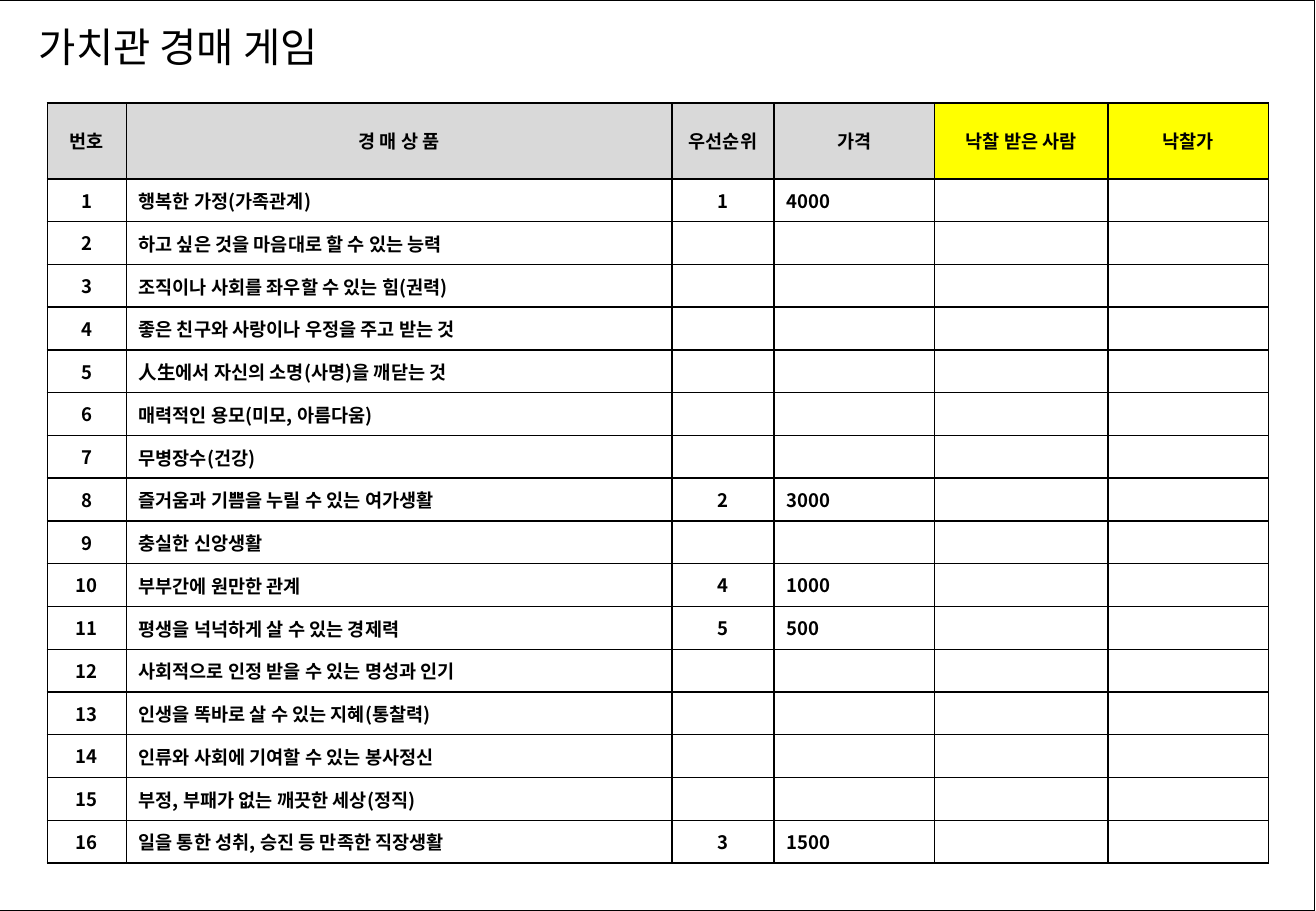
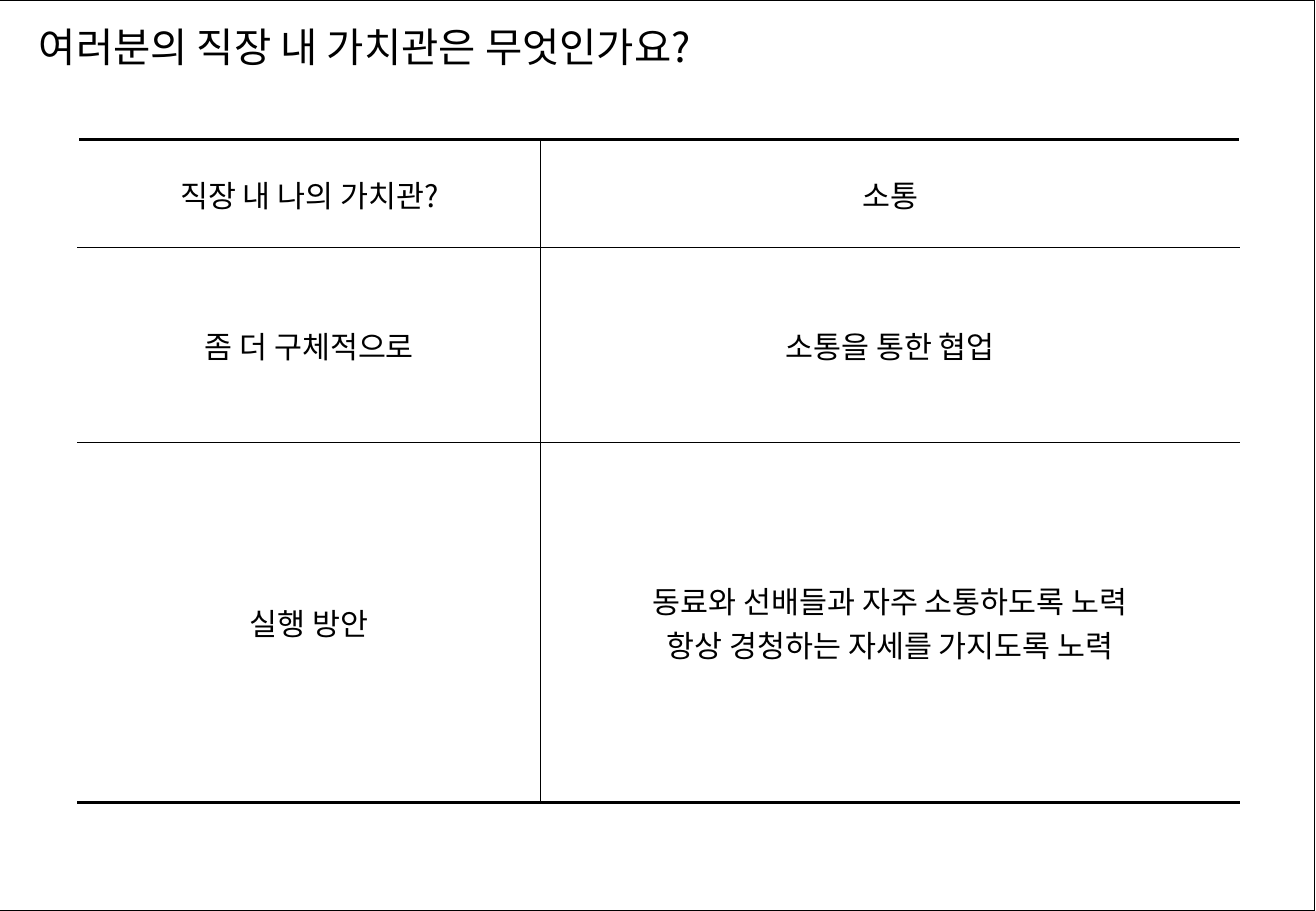
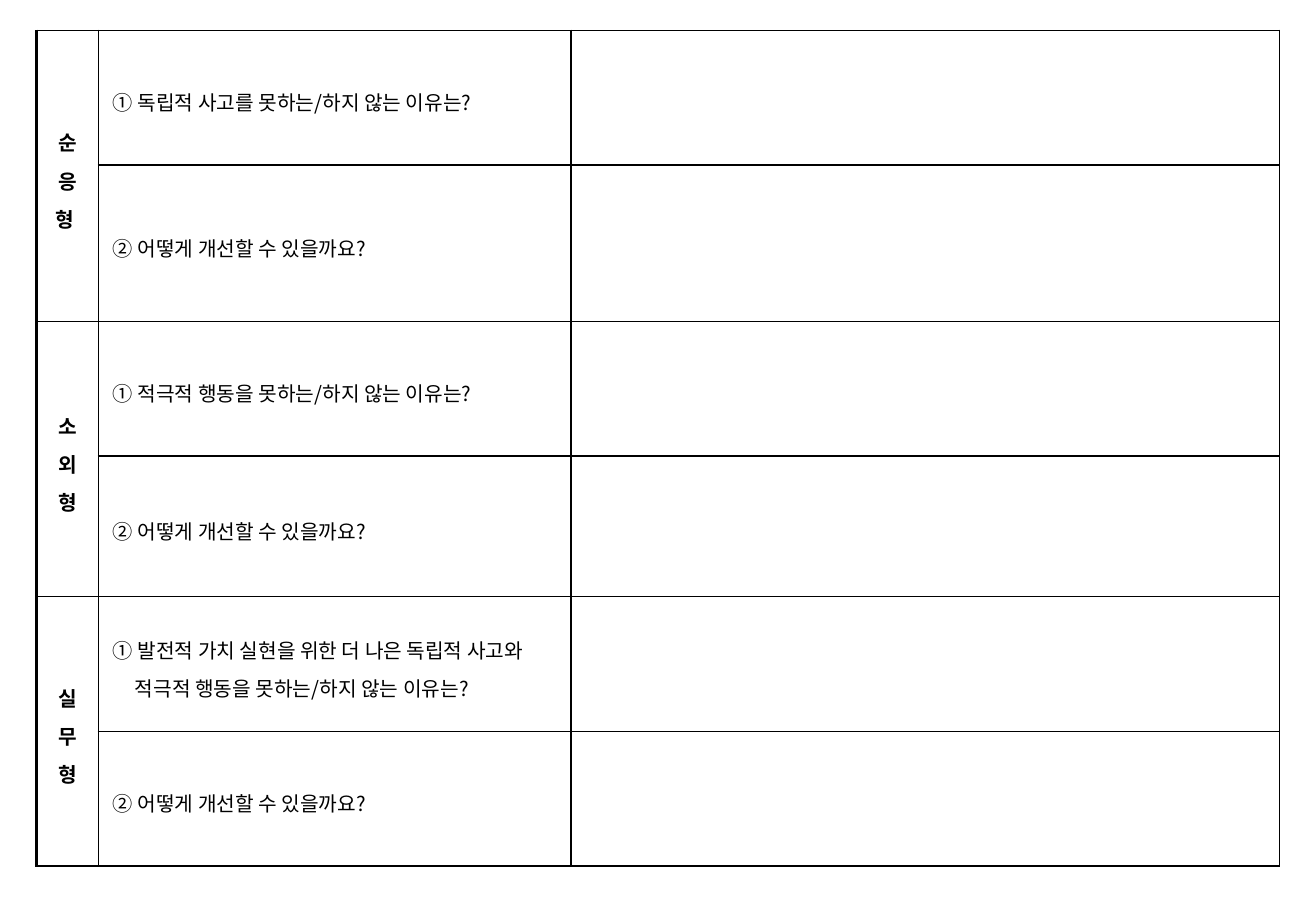
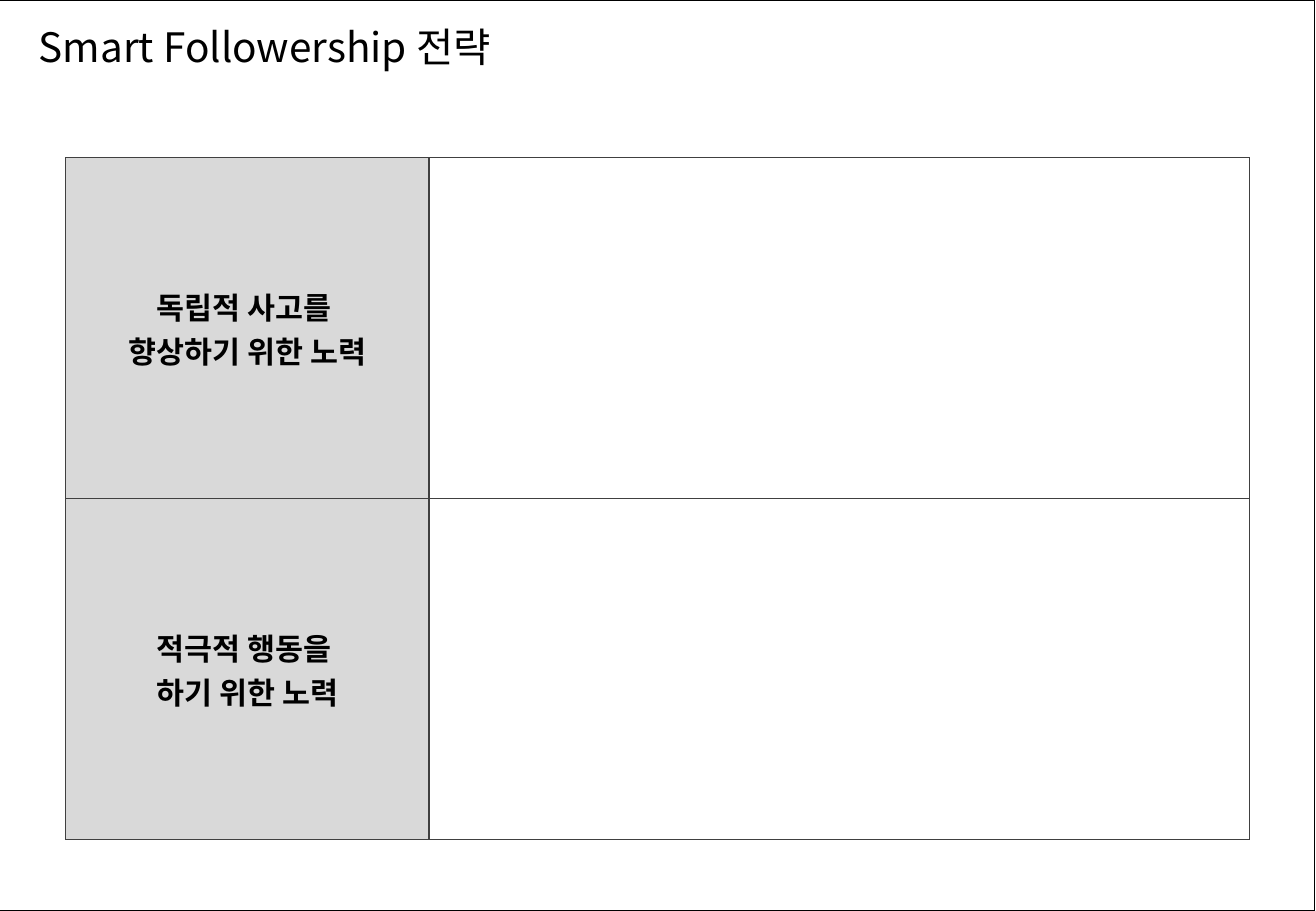
"""Build a four-slide workshop handout on work values and followership."""
from dataclasses import dataclass

from lxml.etree import SubElement
from pptx import Presentation
from pptx.dml.color import RGBColor as Rgb
from pptx.enum.shapes import MSO_SHAPE as Kind
from pptx.enum.text import MSO_ANCHOR as Anchor, MSO_AUTO_SIZE as Fit, PP_ALIGN as Align
from pptx.oxml.ns import qn
from pptx.util import Inches, Pt


@dataclass(frozen=True)
class Theme:
    font: str = "Noto Sans CJK KR"
    ink: str = "000000"
    paper: str = "FFFFFF"
    gray: str = "D9D9D9"
    mark: str = "FFFF00"
    rule: str = "404040"
    head: float = 24
    body: float = 18
    note: float = 12
    small: float = 11


look = Theme()
deck = Presentation()
deck.slide_width, deck.slide_height = Inches(10.83), Inches(7.5)
wide, high = deck.slide_width / 100, deck.slide_height / 100


def put(frame, text, size, bold=False, align=Align.CENTER, space=None):
    for i, line in enumerate(text.split("\n")):
        para = frame.add_paragraph() if i else frame.paragraphs[0]
        para.alignment = align
        para.line_spacing = space
        if not line:
            SubElement(para._p, qn("a:endParaRPr"), sz=str(size * 100))
            continue
        for j, part in enumerate(line.split("\v")):
            if j:
                para.add_line_break()
            run = para.add_run()
            run.text = part
            run.font.size = Pt(size)
            run.font.bold = bold
            run.font.name = look.font
            run.font.color.rgb = Rgb.from_string(look.ink)
            SubElement(run._r.get_or_add_rPr(), qn("a:ea"), typeface=look.font)


def grid(slide, box, cols, rows, line, sides={}, pad=(0.1, 0.05)):
    x, y, w, h = box
    shape = slide.shapes.add_table(
        len(rows), len(cols), int(x * wide), int(y * high), int(w * wide), int(h * high))
    table = shape.table
    table.first_row = table.horz_banding = False
    for col, part in zip(table.columns, cols):
        col.width = int(w * wide * part / sum(cols))
    for row, part in zip(table.rows, rows):
        row.height = int(h * high * part / sum(rows))
    for r in range(len(rows)):
        for c in range(len(cols)):
            cell = table.cell(r, c)
            cell.fill.background()
            cell.vertical_anchor = Anchor.MIDDLE
            cell.margin_left = cell.margin_right = Inches(pad[0])
            cell.margin_top = cell.margin_bottom = Inches(pad[1])
            outer = {"L": c == 0, "R": c == len(cols) - 1, "T": r == 0, "B": r == len(rows) - 1}
            props = cell._tc.get_or_add_tcPr()
            for i, (side, edge) in enumerate(outer.items()):
                color, width = sides.get(side, line) if edge else line
                ln = SubElement(props, qn(f"a:ln{side}"), w=str(Pt(width)))
                SubElement(SubElement(ln, qn("a:solidFill")), qn("a:srgbClr"), val=color)
                props.insert(i, ln)
    return table


titled, blank = deck.slide_layouts[5], deck.slide_layouts[6]
spot = titled.placeholders[0]
spot.left, spot.top = int(2.03 * wide), int(1.73 * high)
spot.width, spot.height = int(86.24 * wide), int(7.33 * high)

names = ["가치관 경매 게임", "여러분의 직장 내 가치관은 무엇인가요?", None, "Smart Followership 전략"]
pages = []
for name in names:
    page = deck.slides.add_slide(titled if name else blank)
    pages.append(page)
    if name:
        frame = page.shapes.title.text_frame
        frame.auto_size = Fit.NONE
        put(frame, name, look.head, align=Align.LEFT, space=0.9)
bid, values, types, plan = pages

for page, left, edge in [(bid, -0.1, True), (types, 0, False)]:
    sheet = page.shapes.add_shape(
        Kind.RECTANGLE, int(left * wide), 0, deck.slide_width, deck.slide_height)
    sheet.shadow.inherit = False
    sheet.fill.solid()
    sheet.fill.fore_color.rgb = Rgb.from_string(look.paper)
    if edge:
        sheet.line.color.rgb = Rgb.from_string(look.ink)
        sheet.line.width = Pt(0.75)
        deck.slide_master.shapes.element.insert(2, sheet._element)
    else:
        sheet.line.fill.background()

heads = ["번호", "경 매 상 품", "우선순위", "가격", "낙찰 받은 사람", "낙찰가"]
goods = [
    "행복한 가정(가족관계)",
    "하고 싶은 것을 마음대로 할 수 있는 능력",
    "조직이나 사회를 좌우할 수 있는 힘(권력)",
    "좋은 친구와 사랑이나 우정을 주고 받는 것",
    "人生에서 자신의 소명(사명)을 깨닫는 것",
    "매력적인 용모(미모, 아름다움)",
    "무병장수(건강)",
    "즐거움과 기쁨을 누릴 수 있는 여가생활",
    "충실한 신앙생활",
    "부부간에 원만한 관계",
    "평생을 넉넉하게 살 수 있는 경제력",
    "사회적으로 인정 받을 수 있는 명성과 인기",
    "인생을 똑바로 살 수 있는 지혜(통찰력)",
    "인류와 사회에 기여할 수 있는 봉사정신",
    "부정, 부패가 없는 깨끗한 세상(정직)",
    "일을 통한 성취, 승진 등 만족한 직장생활",
]
bids = {1: ("1", "4000"), 8: ("2", "3000"), 10: ("4", "1000"), 11: ("5", "500"), 16: ("3", "1500")}
lots = [heads]
for num, good in enumerate(goods, 1):
    lots.append([str(num), good, *bids.get(num, ("", "")), "", ""])
table = grid(bid, (3.6, 11.33, 92.8, 83.47), [0.65, 4.49, 0.84, 1.32, 1.43, 1.32],
             [0.62] + [0.35] * len(goods), (look.ink, 1), pad=(0.1, 0))
for r, lot in enumerate(lots):
    for c, text in enumerate(lot):
        cell = table.cell(r, c)
        cell.fill.solid()
        tint = look.paper if r else look.gray if c < 4 else look.mark
        cell.fill.fore_color.rgb = Rgb.from_string(tint)
        align = Align.LEFT if r and c in (1, 3) else Align.CENTER
        put(cell.text_frame, text, look.small, True, align, None if r and c == 1 else 0.95)

thick, clear = (look.ink, 2.25), (look.paper, 1)
table = grid(values, (5.91, 15.33, 88.27, 72.8), [3.81, 5.75], [0.89, 1.6, 2.96],
             (look.ink, 0.75), {"L": clear, "R": clear, "T": thick, "B": thick})
goals = [
    ("직장 내 나의 가치관?", "소통"),
    ("좀 더 구체적으로", "소통을 통한 협업"),
    ("실행 방안", "동료와 선배들과 자주 소통하도록 노력\n항상 경청하는 자세를 가지도록 노력"),
]
for r, goal in enumerate(goals):
    for c, text in enumerate(goal):
        cell = table.cell(r, c)
        cell.fill.solid()
        cell.fill.fore_color.rgb = Rgb.from_string(look.paper)
        put(cell.text_frame, text, look.body)

table = grid(types, (2.77, 3.33, 94.46, 91.73), [0.51, 3.89, 5.83],
             [1.11, 1.29, 1.11, 1.16, 1.11, 1.11], (look.ink, 1),
             {"L": (look.ink, 1.5)}, (0.12, 0.03))
kinds = [
    ("순응형 ", "① 독립적 사고를 못하는/하지 않는 이유는?"),
    ("소외형", "① 적극적 행동을 못하는/하지 않는 이유는?"),
    ("실무형", "① 발전적 가치 실현을 위한 더 나은 독립적 사고와\v적극적 행동을 못하는/하지 않는 이유는?"),
]
for i, (kind, cause) in enumerate(kinds):
    top = table.cell(2 * i, 0)
    top.merge(table.cell(2 * i + 1, 0))
    put(top.text_frame, kind, look.note, True, space=1.3)
    for j, text in enumerate([cause, "② 어떻게 개선할 수 있을까요?"]):
        frame = table.cell(2 * i + j, 1).text_frame
        put(frame, text, look.note, align=Align.LEFT, space=1.3)
        props = frame.paragraphs[0]._p.get_or_add_pPr()
        props.set("marL", str(Inches(0.18)))
        props.set("indent", str(-Inches(0.18)))

table = grid(plan, (4.99, 17.33, 89.94, 74.8), [2.99, 6.75], [1, 1],
             (look.rule, 0.75), pad=(0.02, 0.01))
for r, text in enumerate(["독립적 사고를 \n향상하기 위한 노력", "적극적 행동을 \n하기 위한 노력"]):
    cell = table.cell(r, 0)
    cell.fill.solid()
    cell.fill.fore_color.rgb = Rgb.from_string(look.gray)
    put(cell.text_frame, text, look.body, True)

deck.save("out.pptx")
